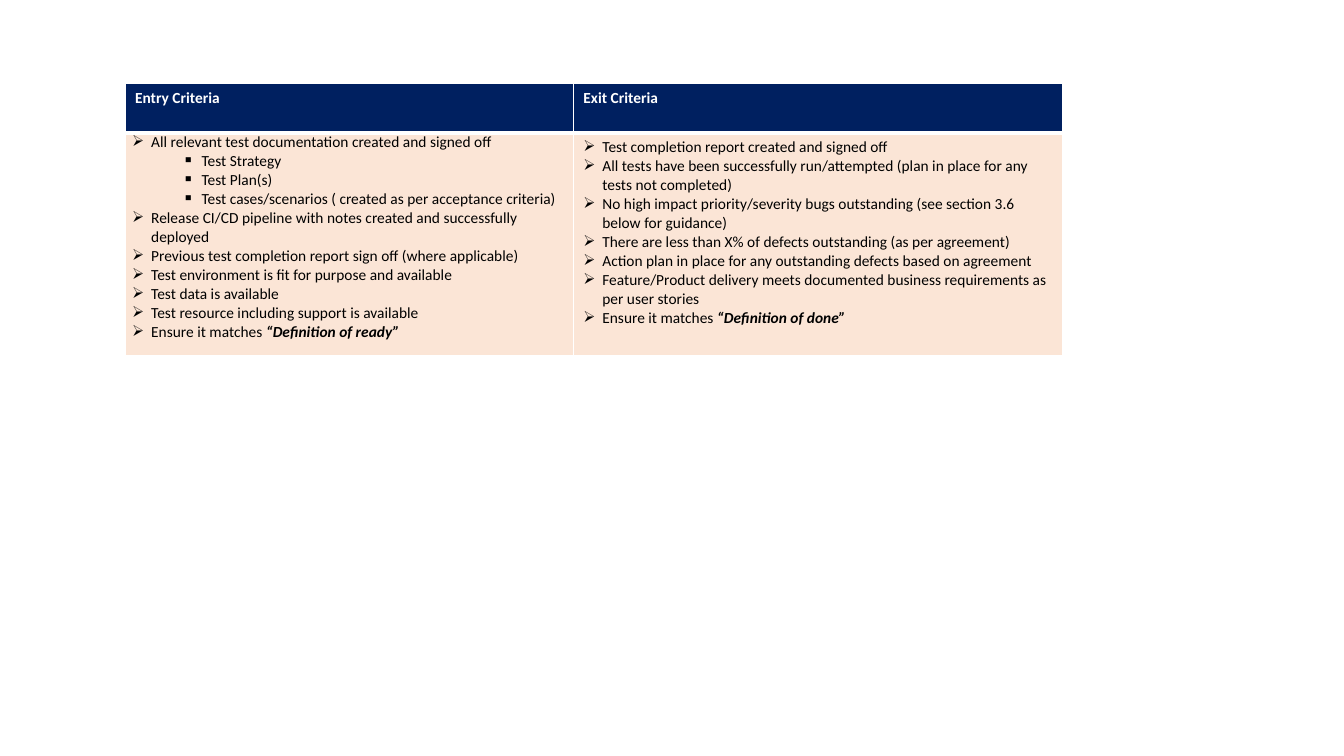
from dataclasses import dataclass

from lxml import etree
from pptx import Presentation
from pptx.dml.color import RGBColor
from pptx.oxml.ns import qn
from pptx.util import Cm, Pt

# Content: (level, text, emphasised ending)
ENTRY_CRITERIA = [
    (0, "All relevant test documentation created and signed off", ""),
    (1, "Test Strategy", ""),
    (1, "Test Plan(s)", ""),
    (1, "Test cases/scenarios ( created as per acceptance criteria)", ""),
    (0, "Release CI/CD pipeline with notes created and successfully deployed", ""),
    (0, "Previous test completion report sign off (where applicable)", ""),
    (0, "Test environment is fit for purpose and available", ""),
    (0, "Test data is available", ""),
    (0, "Test resource including support is available", ""),
    (0, "Ensure it matches ", "“Definition of ready”"),
]
EXIT_CRITERIA = [
    (0, "Test completion report created and signed off", ""),
    (0, "All tests have been successfully run/attempted (plan in place for any tests not completed)", ""),
    (0, "No high impact priority/severity bugs outstanding (see section 3.6 below for guidance)", ""),
    (0, "There are less than X% of defects outstanding (as per agreement)", ""),
    (0, "Action plan in place for any outstanding defects based on agreement", ""),
    (0, "Feature/Product delivery meets documented business requirements as per user stories", ""),
    (0, "Ensure it matches ", "“Definition of done”"),
]
# Heading, criteria, column width, body margins (side, top and bottom)
COLUMNS = [
    ("Entry Criteria", ENTRY_CRITERIA, Cm(11.3), (Cm(0.18), Cm(0))),
    ("Exit Criteria", EXIT_CRITERIA, Cm(12.34), (Cm(0.25), Cm(0.13))),
]
ROW_HEIGHTS = [Cm(1.24), Cm(5.61)]
TABLE_LEFT, TABLE_TOP = Cm(3.15), Cm(2.11)
BULLETS = ["➢", "▪"]
BULLET_HANG = Cm(0.48)
LEVEL_STEP = Cm(1.27)


@dataclass(frozen=True)
class Theme:
    font: str = "Calibri"
    size: Pt = Pt(11)
    header_fill: RGBColor = RGBColor(0x00, 0x20, 0x60)
    body_fill: RGBColor = RGBColor(0xFB, 0xE5, 0xD6)
    header_text: RGBColor = RGBColor(0xFF, 0xFF, 0xFF)
    body_text: RGBColor = RGBColor(0x00, 0x00, 0x00)
    border: RGBColor = RGBColor(0xFF, 0xFF, 0xFF)
    thin: Pt = Pt(1)
    thick: Pt = Pt(3)


THEME = Theme()


def format_run(run, color, bold=False, italic=False):
    run.font.name = THEME.font
    run.font.size = THEME.size
    run.font.color.rgb = color
    run.font.bold = bold
    run.font.italic = italic


def style_cell(cell, fill, top, bottom):
    properties = cell._tc.get_or_add_tcPr()
    edges = {"a:lnL": THEME.thin, "a:lnR": THEME.thin, "a:lnT": top, "a:lnB": bottom}
    for edge, width in edges.items():
        line = etree.SubElement(properties, qn(edge), w=str(int(width)))
        solid = etree.SubElement(line, qn("a:solidFill"))
        etree.SubElement(solid, qn("a:srgbClr"), val=str(THEME.border))
    cell.fill.solid()
    cell.fill.fore_color.rgb = fill


def add_bullet(paragraph, level):
    paragraph.level = level
    properties = paragraph._p.get_or_add_pPr()
    properties.set("marL", str(int(BULLET_HANG + level * LEVEL_STEP)))
    properties.set("indent", str(-int(BULLET_HANG)))
    etree.SubElement(properties, qn("a:buChar"), char=BULLETS[level])


def write_criteria(frame, criteria):
    for index, (level, wording, emphasis) in enumerate(criteria):
        paragraph = frame.add_paragraph() if index else frame.paragraphs[0]
        paragraph.text = wording
        add_bullet(paragraph, level)
        format_run(paragraph.runs[0], THEME.body_text)
        if emphasis:
            ending = paragraph.add_run()
            ending.text = emphasis
            format_run(ending, THEME.body_text, bold=True, italic=True)


def main():
    presentation = Presentation()
    presentation.slide_width, presentation.slide_height = Cm(33.87), Cm(19.05)
    slide = presentation.slides.add_slide(presentation.slide_layouts[6])

    # Criteria table
    total_width = sum(width for _, _, width, _ in COLUMNS)
    criteria_table = slide.shapes.add_table(
        len(ROW_HEIGHTS), len(COLUMNS), TABLE_LEFT, TABLE_TOP, total_width, sum(ROW_HEIGHTS)
    ).table
    criteria_table.horz_banding = False
    for row, height in zip(criteria_table.rows, ROW_HEIGHTS):
        row.height = height

    for index, (heading, criteria, width, (side, vertical)) in enumerate(COLUMNS):
        criteria_table.columns[index].width = width

        # Heading
        header = criteria_table.cell(0, index)
        style_cell(header, THEME.header_fill, THEME.thin, THEME.thick)
        header.text_frame.text = heading
        format_run(header.text_frame.paragraphs[0].runs[0], THEME.header_text, bold=True)

        # Criteria list
        body = criteria_table.cell(1, index)
        style_cell(body, THEME.body_fill, THEME.thick, THEME.thin)
        body.margin_left = body.margin_right = side
        body.margin_top = body.margin_bottom = vertical
        write_criteria(body.text_frame, criteria)

    presentation.save("out.pptx")


if __name__ == "__main__":
    main()
